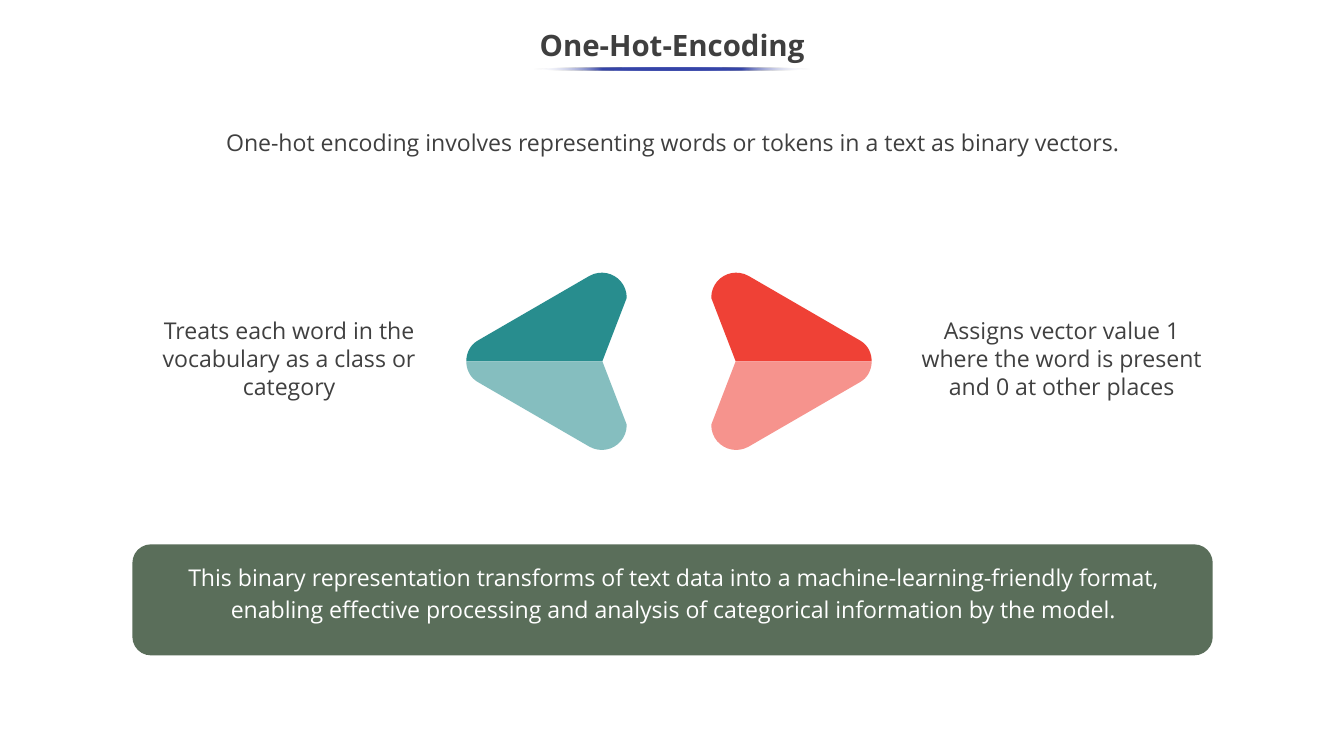
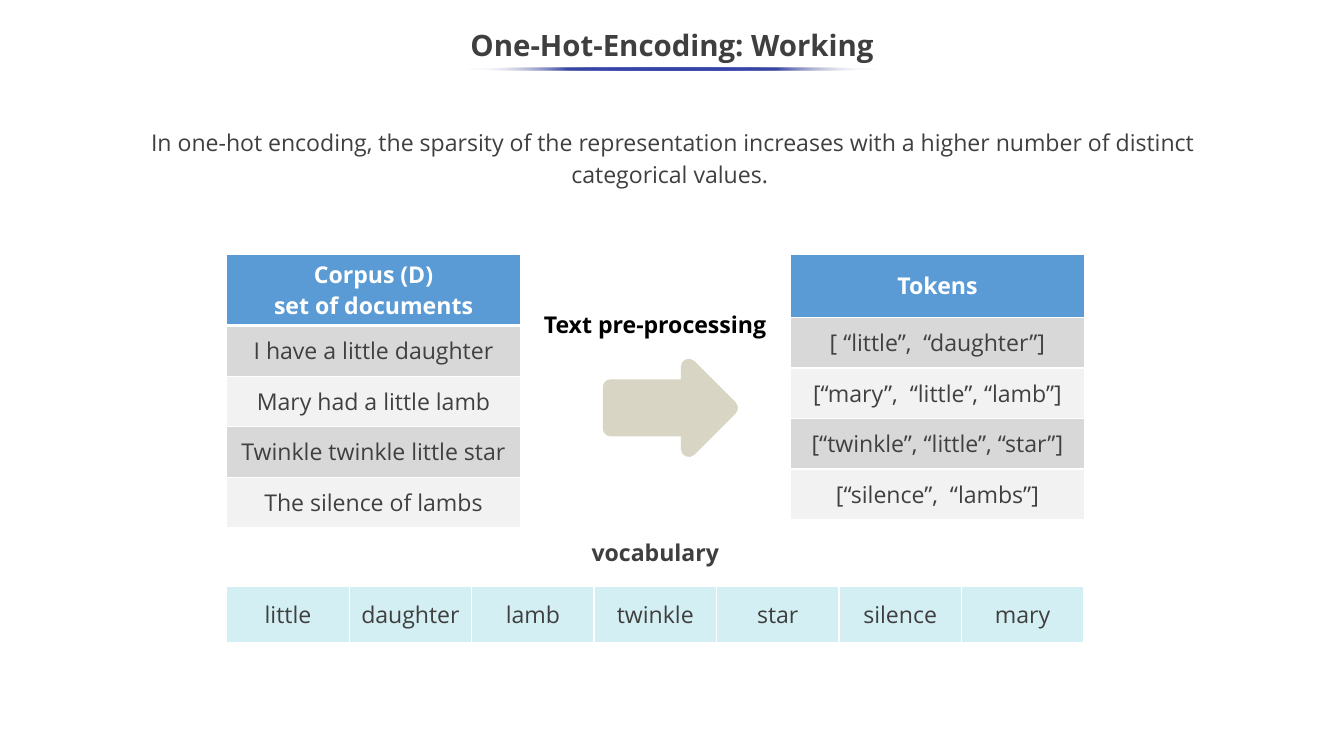
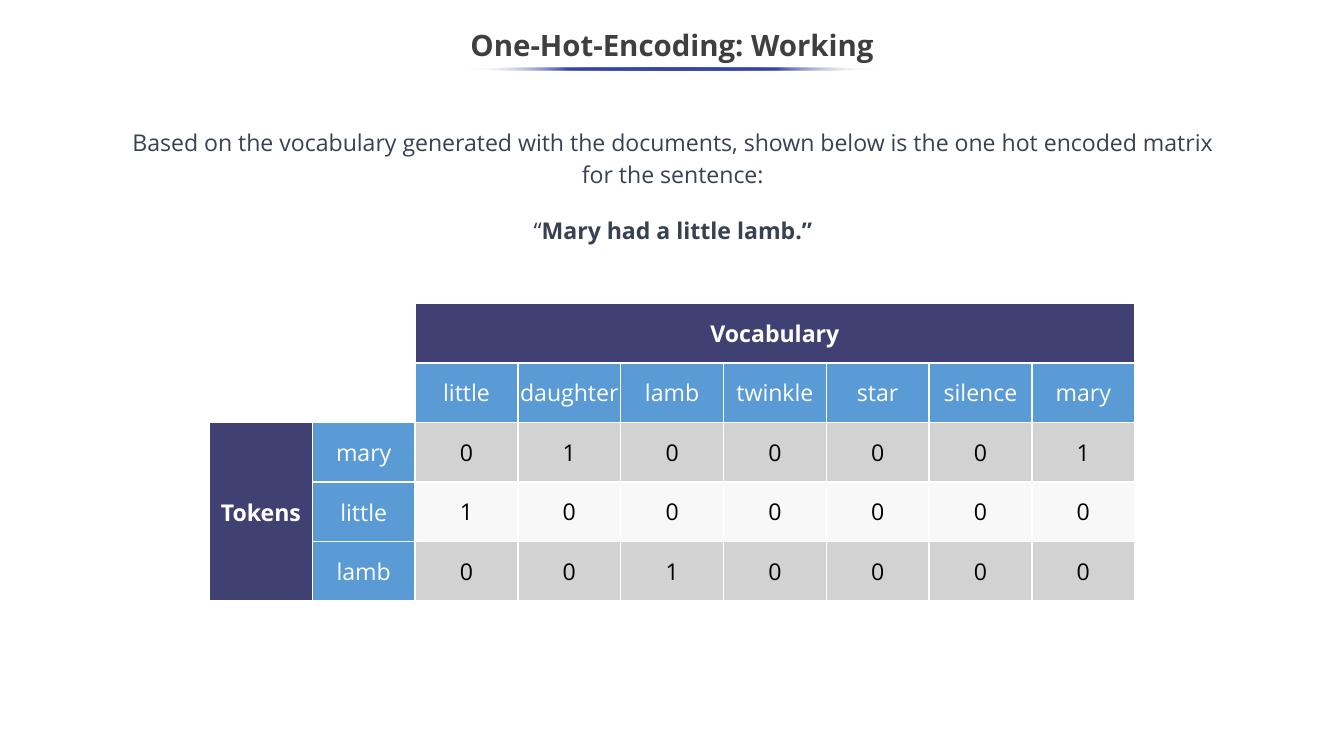
from pptx import Presentation
from pptx.dml.color import RGBColor
from pptx.enum.shapes import MSO_SHAPE as Kind
from pptx.enum.text import MSO_ANCHOR as Anchor, MSO_AUTO_SIZE as Fit, PP_ALIGN as Align
from pptx.oxml import parse_xml
from pptx.oxml.ns import nsdecls, qn
from pptx.util import Cm, Pt

FONT = "Open Sans"
WIDE, HIGH = 45.16, 25.4
INK = RGBColor(0x3F, 0x3F, 0x3F)
GREY = RGBColor(0x40, 0x40, 0x40)
SLATE = RGBColor(0x37, 0x41, 0x51)
BLACK = RGBColor(0, 0, 0)
WHITE = RGBColor(0xFF, 0xFF, 0xFF)
RULE = RGBColor(0x36, 0x45, 0xA9)
GREEN = RGBColor(0x5A, 0x6E, 0x5A)
TEAL = RGBColor(0x28, 0x8D, 0x8E)
MINT = RGBColor(0x85, 0xBE, 0xBF)
RED = RGBColor(0xEF, 0x41, 0x36)
PINK = RGBColor(0xF6, 0x93, 0x8D)
SAND = RGBColor(0xD8, 0xD5, 0xC4)
BLUE = RGBColor(0x5B, 0x9B, 0xD5)
NAVY = RGBColor(0x40, 0x41, 0x72)
CYAN = RGBColor(0x28, 0xB2, 0xC7)
BANDS = RGBColor(0xD8, 0xD8, 0xD8), RGBColor(0xF2, 0xF2, 0xF2)
STRIPES = RGBColor(0xD2, 0xD2, 0xD2), RGBColor(0xF8, 0xF8, 0xF8)

LOOSE, CLOSE = Pt(30), Pt(26.4)
VOCAB = ["little", "daughter", "lamb", "twinkle", "star", "silence", "mary"]
DOCS = ["I have a little daughter", "Mary had a little lamb",
        "Twinkle twinkle little star", "The silence of lambs"]
TOKENS = ["[ “little”,  “daughter”]", "[“mary”,  “little”, “lamb”]",
          "[“twinkle”, “little”, “star”]", "[“silence”,  “lambs”]"]
CODES = {"mary": "0100001", "little": "1000000", "lamb": "0010000"}


def curve(start, pull, push, end, steps=12):
    """Points of a cubic curve, without its start."""
    def mix(t, axis):
        u = 1 - t
        return (u ** 3 * start[axis] + 3 * u * u * t * pull[axis]
                + 3 * u * t * t * push[axis] + t ** 3 * end[axis])
    return [(mix(i / steps, 0), mix(i / steps, 1)) for i in range(1, steps + 1)]


# Half of an arrowhead, measured in cm from the point midway between the two
TIP = (1.42, 2.13)
WING = [TIP, *curve(TIP, (1.42, 2.79), (2.11, 3.18), (2.67, 2.87)), (6.4, 0.71),
        *curve((6.4, 0.71), (6.68, 0.56), (6.81, 0.28), (6.81, 0)), (2.24, 0)]


class Deck:
    def __init__(self):
        self.show = Presentation()
        self.show.slide_width, self.show.slide_height = Cm(WIDE), Cm(HIGH)
        self.slide = None

    def page(self, title, body, rule, color=INK):
        """Start a slide with its title, underline and lead text."""
        self.slide = self.show.slides.add_slide(self.show.slide_layouts[1])
        head, lead = self.slide.placeholders
        self.place(head, 0, 0.64, WIDE, 1.9)
        head.text_frame.text = title
        head.text_frame.vertical_anchor = Anchor.MIDDLE
        self.style(head.text_frame.paragraphs[0], INK, True, 0.9, 28)
        self.place(lead, 3.58, 4.19, 38.05, 2.51)
        frame = lead.text_frame
        frame.margin_top = frame.margin_bottom = 0
        frame.vertical_anchor = Anchor.TOP
        frame.text = body
        par = frame.paragraphs[0]
        props = par._p.get_or_add_pPr()
        props.set("marL", "0")
        props.set("indent", "0")
        props.append(parse_xml(f"<a:buNone {nsdecls('a')}/>"))
        self.style(par, color, False, LOOSE)
        self.rule(rule)

    def place(self, shape, left, top, wide, high):
        shape.left, shape.top, shape.width, shape.height = map(Cm, (left, top, wide, high))
        shape.text_frame.auto_size = Fit.NONE
        shape.text_frame.word_wrap = True

    def style(self, par, color, bold=False, space=None, size=22):
        par.alignment = Align.CENTER
        par.space_before = Pt(0)
        if space:
            par.line_spacing = space
        for run in par.runs:
            font = run.font
            font.name, font.size, font.bold = FONT, Pt(size), bold
            font.color.rgb = color

    def rule(self, wide):
        """Centred underline that fades out at both ends."""
        line = self.shape(Kind.OVAL, (WIDE - wide) / 2, 2.26, wide, 0.1, RULE)
        line.fill.gradient()
        line.fill.gradient_angle = 0
        stops = line._element.spPr.find(".//" + qn("a:gsLst"))
        stops.clear()
        for spot, color, alpha in ((0, WHITE, 0), (25, RULE, 100), (50, RULE, 100),
                                   (75, RULE, 100), (100, WHITE, 0)):
            stops.append(parse_xml(
                f'<a:gs {nsdecls("a")} pos="{spot * 1000}"><a:srgbClr val="{color}">'
                f'<a:alpha val="{alpha * 1000}"/></a:srgbClr></a:gs>'))

    def paint(self, shape, fill):
        shape.shadow.inherit = False
        shape.line.fill.background()
        if fill is None:
            shape.fill.background()
        else:
            shape.fill.solid()
            shape.fill.fore_color.rgb = fill

    def shape(self, kind, left, top, wide, high, fill=None):
        shape = self.slide.shapes.add_shape(kind, Cm(left), Cm(top), Cm(wide), Cm(high))
        self.paint(shape, fill)
        return shape

    def arrow(self, left, top, wide, high, fill):
        """Block arrow with corners rounded by a thick outline."""
        arrow = self.shape(Kind.RIGHT_ARROW, left, top, wide, high, fill)
        arrow.line.color.rgb = fill
        arrow.line.width = Pt(15)
        arrow.line._get_or_add_ln().append(parse_xml(f"<a:round {nsdecls('a')}/>"))

    def text(self, words, left, top, wide, high, color, bold=False, space=CLOSE):
        box = self.slide.shapes.add_textbox(0, 0, 0, 0)
        self.place(box, left, top, wide, high)
        box.text_frame.text = words
        par = box.text_frame.paragraphs[0]
        self.style(par, color, bold, space)
        return par

    def head(self, side, upper, lower):
        """Arrowhead of two mirrored halves; side is -1 for left, 1 for right."""
        group = self.slide.shapes.add_group_shape()
        for flip, fill in ((-1, upper), (1, lower)):
            spots = [(Cm(22.48 + side * x), Cm(12.14 + flip * y)) for x, y in WING]
            path = group.shapes.build_freeform(*spots[0])
            path.add_line_segments(spots[1:], close=True)
            self.paint(path.convert_to_shape(), fill)

    def table(self, left, top, wide, highs, cols):
        """Plain table with equal columns; sizes in cm."""
        frame = self.slide.shapes.add_table(len(highs), cols, Cm(left), Cm(top),
                                            Cm(wide), Cm(sum(highs)))
        table = frame.table
        table.first_row = table.horz_banding = False
        for col in table.columns:
            col.width = Cm(wide / cols)
        for row, high in zip(table.rows, highs):
            row.height = Cm(high)
        for cell in table.iter_cells():
            cell.fill.background()
            self.edge(cell)
        return table

    def edge(self, cell, line=1.5, base=None):
        """White borders in points, with another width at the base if given."""
        props = cell._tc.get_or_add_tcPr()
        for spot, side in enumerate(("lnL", "lnR", "lnT", "lnB")):
            for old in props.findall(qn("a:" + side)):
                props.remove(old)
            width = Pt(base if base and side == "lnB" else line)
            props.insert(spot, parse_xml(
                f'<a:{side} {nsdecls("a")} w="{width}"><a:solidFill>'
                f'<a:srgbClr val="{WHITE}"/></a:solidFill></a:{side}>'))

    def cell(self, cell, words, fill, color=WHITE, bold=False, tight=False, alpha=None):
        cell.text = words
        cell.vertical_anchor = Anchor.MIDDLE
        if tight:
            cell.margin_left = cell.margin_right = cell.margin_top = Cm(0.03)
            cell.margin_bottom = 0
        for par in cell.text_frame.paragraphs:
            self.style(par, color, bold)
        cell.fill.solid()
        cell.fill.fore_color.rgb = fill
        if alpha:
            tint = cell._tc.tcPr.find(qn("a:solidFill"))[0]
            tint.append(parse_xml(f'<a:alpha {nsdecls("a")} val="{alpha * 1000}"/>'))

    def stack(self, left, title, rows, line, base=None):
        """One-column table of banded rows under a blue header."""
        table = self.table(left, 8.56, 9.86, [2.1] + [1.7] * len(rows), 1)
        self.cell(table.cell(0, 0), title, BLUE, bold=True)
        for i, words in enumerate(rows):
            self.cell(table.cell(i + 1, 0), words, BANDS[i % 2], GREY)
        for cell in table.iter_cells():
            self.edge(cell, line)
        self.edge(table.cell(0, 0), line, base)


def intro(deck):
    deck.page("One-Hot-Encoding", "One-hot encoding involves representing words or tokens "
              "in a text as binary vectors.", 9.32)
    deck.shape(Kind.ROUNDED_RECTANGLE, 4.45, 18.29, 36.3, 3.73, GREEN)
    deck.text("This binary representation transforms of text data into a "
              "machine-learning-friendly format, enabling effective processing and "
              "analysis of categorical information by the model.",
              5.89, 18.69, 33.48, 2.77, WHITE, space=LOOSE)
    deck.head(-1, TEAL, MINT)
    deck.head(1, RED, PINK)
    deck.text("Treats each word in the vocabulary as a class or category",
              4.47, 10.52, 10.49, 3.07, GREY)
    deck.text("Assigns vector value 1 where the word is present and 0 at other places",
              30.66, 10.52, 10.03, 3.07, GREY)


def corpus(deck):
    deck.page("One-Hot-Encoding: Working", "In one-hot encoding, the sparsity of the "
              "representation increases with a higher number of distinct categorical "
              "values. ", 13.87)
    deck.stack(7.62, "Corpus (D)\nset of documents", DOCS, 1, 3)
    deck.arrow(20.52, 12.32, 4.01, 2.77, SAND)
    deck.stack(26.57, "Tokens", TOKENS, 1.5)
    strip = deck.table(7.62, 19.69, 28.8, [1.9], len(VOCAB))
    for cell, word in zip(strip.iter_cells(), VOCAB):
        deck.cell(cell, word, CYAN, INK, tight=True, alpha=20)
    label = deck.shape(Kind.ROUNDED_RECTANGLE, 18.21, 17.42, 7.62, 2.29)
    label.text_frame.text = "vocabulary"
    deck.style(label.text_frame.paragraphs[0], INK, True, CLOSE)
    deck.text("Text pre-processing", 17.83, 10.31, 8.36, 1.19, BLACK, True)


def matrix(deck):
    deck.page("One-Hot-Encoding: Working", "Based on the vocabulary generated with the "
              "documents, shown below is the one hot encoded matrix for the sentence:",
              13.87, SLATE)
    grid = deck.table(7.04, 10.19, 31.09, [2] * 5, 9)
    grid.cell(0, 2).merge(grid.cell(0, 8))
    grid.cell(2, 0).merge(grid.cell(4, 0))
    deck.cell(grid.cell(0, 2), "Vocabulary", NAVY, bold=True, tight=True)
    deck.cell(grid.cell(2, 0), "Tokens", NAVY, bold=True, tight=True)
    for col, word in enumerate(VOCAB, 2):
        deck.cell(grid.cell(1, col), word, BLUE, tight=True)
    for row, (word, code) in enumerate(CODES.items(), 2):
        deck.cell(grid.cell(row, 1), word, BLUE, tight=True)
        for col, bit in enumerate(code, 2):
            deck.cell(grid.cell(row, col), bit, STRIPES[row % 2], BLACK)
    quote = deck.text("“", 10.24, 7.16, 24.74, 1.19, SLATE)
    run = quote.add_run()
    run.text = "Mary had a little lamb.”"
    deck.style(quote, SLATE, True, CLOSE)
    quote.runs[0].font.bold = False


def main():
    deck = Deck()
    for build in (intro, corpus, matrix):
        build(deck)
    deck.show.save("out.pptx")


if __name__ == "__main__":
    main()
